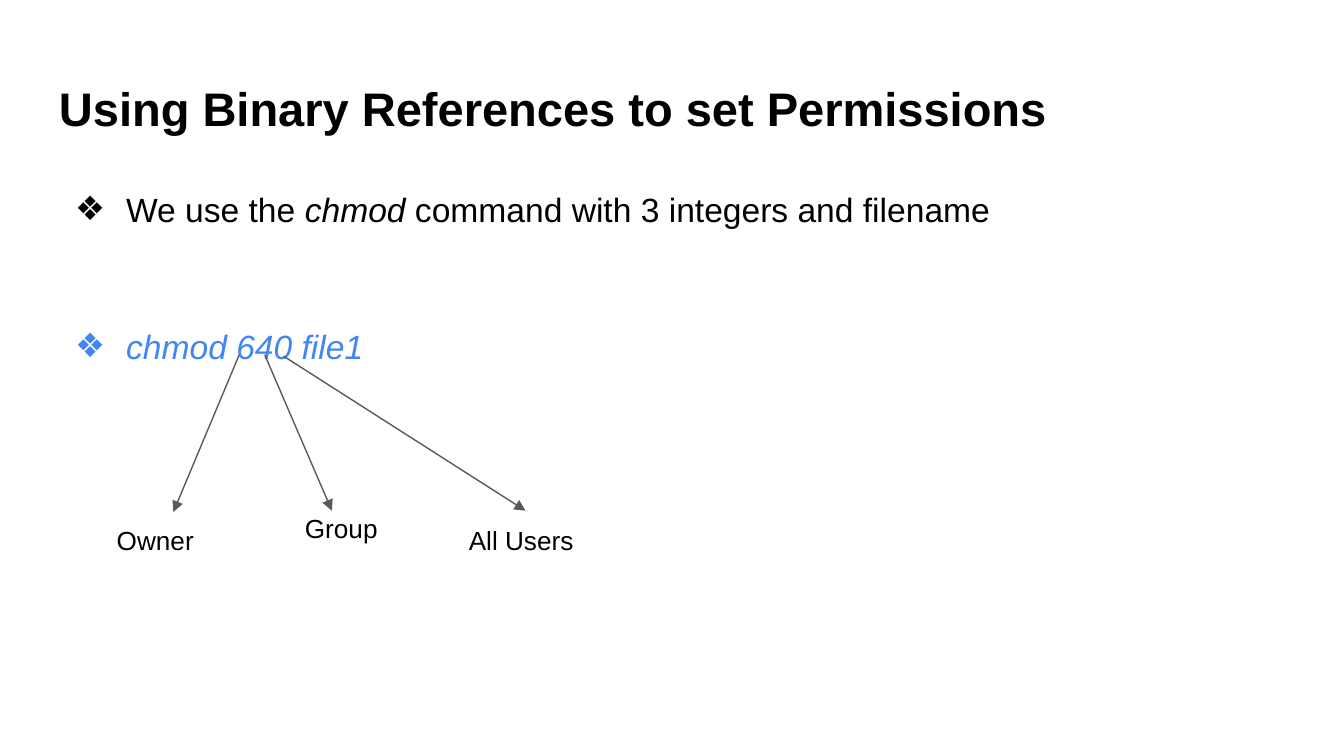
from dataclasses import dataclass

from lxml.etree import SubElement
from pptx import Presentation
from pptx.dml.color import RGBColor
from pptx.enum.shapes import MSO_CONNECTOR
from pptx.enum.text import MSO_ANCHOR
from pptx.oxml.ns import qn
from pptx.util import Inches, Pt


@dataclass(frozen=True)
class Theme:
    font: str = "Arial"
    ink: str = "000000"
    command: str = "4285F4"
    arrow: str = "595959"
    title_size: float = 25.2
    body_size: float = 18
    label_size: float = 14
    arrow_width: float = 0.75


THEME = Theme()


def add_text_box(slide, left, top, width, height, anchor=MSO_ANCHOR.TOP):
    """Add a wrapping text box with even insets and return its frame."""
    box = slide.shapes.add_textbox(
        Inches(left), Inches(top), Inches(width), Inches(height))
    frame = box.text_frame
    frame.word_wrap = True
    frame.vertical_anchor = anchor
    frame.margin_left = frame.margin_right = Inches(0.1)
    frame.margin_top = frame.margin_bottom = Inches(0.1)
    return frame


def add_run(paragraph, text, size, color=THEME.ink, bold=False, italic=False):
    run = paragraph.add_run()
    run.text = text
    font = run.font
    font.name, font.size = THEME.font, Pt(size)
    font.bold, font.italic = bold, italic
    font.color.rgb = RGBColor.from_string(color)


def format_bullet(paragraph, color, space_before=0):
    """Give a paragraph a hanging diamond bullet."""
    paragraph.line_spacing = 1.15
    paragraph.space_before = Pt(space_before)
    props = paragraph._p.get_or_add_pPr()
    props.set("marL", str(Inches(0.5)))
    props.set("indent", str(Inches(-0.38)))
    bullet_color = SubElement(props, qn("a:buClr"))
    SubElement(bullet_color, qn("a:srgbClr"), val=color)
    SubElement(props, qn("a:buFont"), typeface=THEME.font)
    SubElement(props, qn("a:buChar"), char="❖")


def add_arrow(slide, start, end):
    arrow = slide.shapes.add_connector(
        MSO_CONNECTOR.STRAIGHT, *(Inches(value) for value in (*start, *end)))
    arrow.line.color.rgb = RGBColor.from_string(THEME.arrow)
    arrow.line.width = Pt(THEME.arrow_width)
    SubElement(arrow.line._get_or_add_ln(), qn("a:tailEnd"), type="triangle")
    SubElement(arrow._element.spPr, qn("a:effectLst"))


def add_label(slide, text, left, top, width):
    frame = add_text_box(slide, left, top, width, 0.44)
    add_run(frame.paragraphs[0], text, THEME.label_size)


def main():
    # Widescreen slide, 16:9
    presentation = Presentation()
    presentation.slide_width = Inches(10)
    presentation.slide_height = Inches(10) * 9 // 16
    slide = presentation.slides.add_slide(presentation.slide_layouts[6])

    # Title
    title = add_text_box(slide, 0.34, 0.49, 9.32, 0.63, MSO_ANCHOR.MIDDLE)
    add_run(title.paragraphs[0], "Using Binary References to set Permissions",
            THEME.title_size, bold=True)

    # Explanation and example command
    body = add_text_box(slide, 0.34, 1.26, 9.32, 3.74)
    usage = body.paragraphs[0]
    format_bullet(usage, THEME.ink)
    add_run(usage, "We use the ", THEME.body_size)
    add_run(usage, "chmod", THEME.body_size, italic=True)
    add_run(usage, " command with 3 integers and filename", THEME.body_size)
    example = body.add_paragraph()
    format_bullet(example, THEME.command, space_before=48.6)
    add_run(example, "chmod 640 file1", THEME.body_size, THEME.command,
            italic=True)

    # Each digit points to the class of users it governs
    digits = [
        ((1.78, 2.64), (1.29, 3.81), ("Owner", 0.77, 3.8, 0.94)),
        ((1.97, 2.64), (2.47, 3.8), ("Group", 2.17, 3.71, 0.85)),
        ((2.11, 2.65), (3.91, 3.8), ("All Users", 3.39, 3.8, 1.33)),
    ]
    for digit, target, label in digits:
        add_arrow(slide, digit, target)
        add_label(slide, *label)

    presentation.save("out.pptx")


main()
